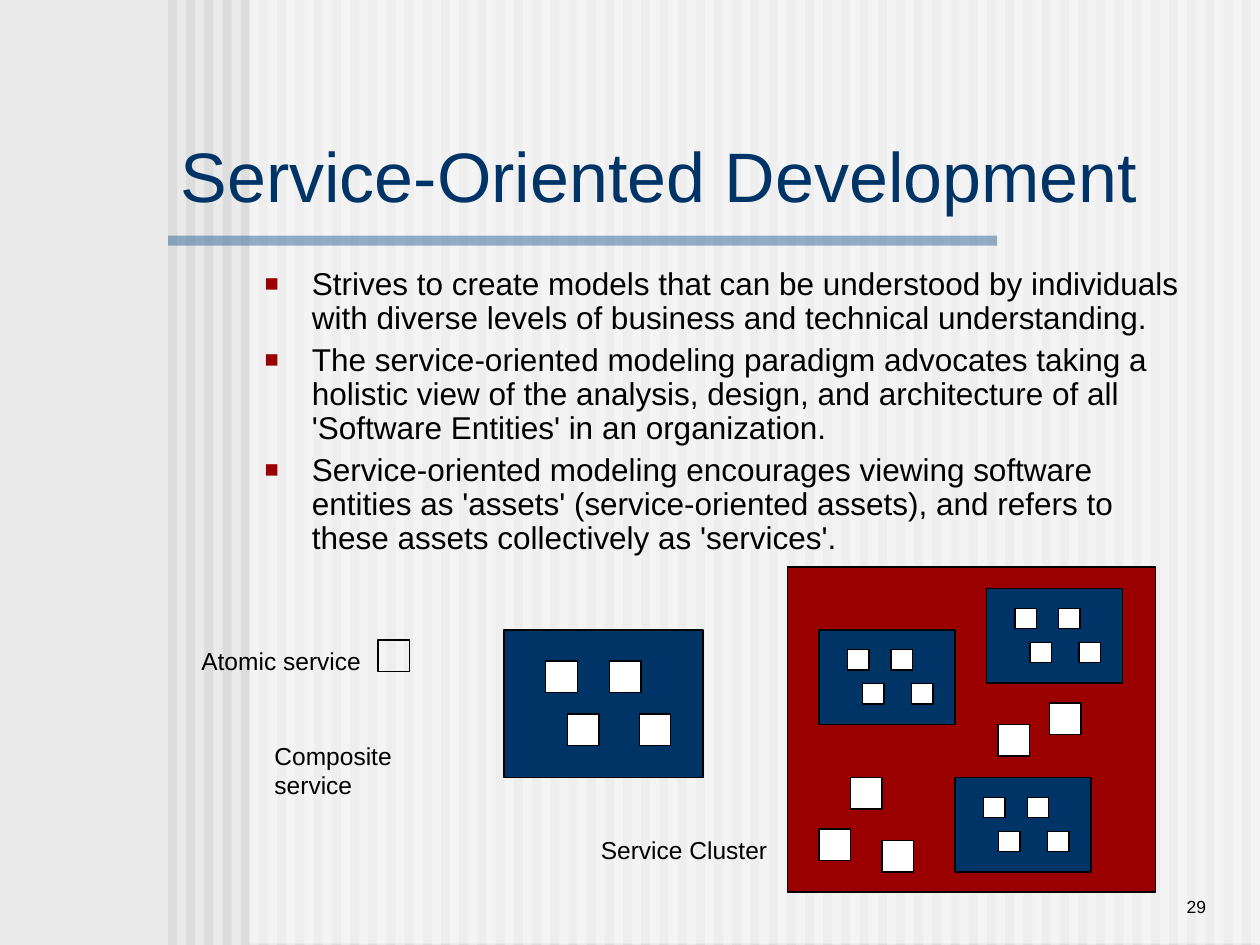
from lxml import etree
from pptx import Presentation
from pptx.dml.color import RGBColor
from pptx.enum.shapes import MSO_SHAPE
from pptx.enum.text import MSO_ANCHOR, MSO_AUTO_SIZE, PP_ALIGN
from pptx.oxml.ns import qn
from pptx.util import Inches, Pt

RECTANGLE = MSO_SHAPE.RECTANGLE
BOTTOM, TOP = MSO_ANCHOR.BOTTOM, MSO_ANCHOR.TOP
LEFT, RIGHT = PP_ALIGN.LEFT, PP_ALIGN.RIGHT
NO_AUTOFIT = MSO_AUTO_SIZE.NONE

FONT = "Arial"
BLACK, WHITE, NAVY, RED = "000000", "FFFFFF", "003366", "9A0000"
BACKGROUND, STRIPE, RULE = "EAEAEA", "DDDDDD", "336699"

WIDTH, HEIGHT = 10, 7.5
MARGIN = WIDTH * 2 / 15
STRIPES = 60
STRIPE_PITCH = (WIDTH - MARGIN) / STRIPES

TITLE = "Service-Oriented Development"
POINTS = [
    "Strives to create models that can be understood by individuals with diverse "
    "levels of business and technical understanding.",
    "The service-oriented modeling paradigm advocates taking a holistic view of the "
    "analysis, design, and architecture of all 'Software Entities' in an organization.",
    "Service-oriented modeling encourages viewing software entities as 'assets' "
    "(service-oriented assets), and refers to these assets collectively as 'services'.",
]
PAGE_NUMBER = "29"
LABELS = [  # text, left, top, width
    ("Atomic service", 1.5, 5.08, 1.47),
    ("Composite service", 2.08, 5.83, 1.8),
    ("Service Cluster", 4.67, 6.58, 1.52),
]

ATOM = 0.25
LONE_ATOM = (3, 5.08)
COMPOSITE = (4, 5, 1.58, 1.17)
CLUSTER = (6.25, 4.5, 2.92, 2.58)
CLUSTER_COMPOSITES = [(6.5, 5), (7.83, 4.67), (7.58, 6.17)]
CLUSTER_COMPOSITE_SIZE = (1.08, 0.75)
CLUSTER_ATOMS = [(6.75, 6.17), (7.92, 5.75), (7, 6.67), (6.5, 6.58), (8.33, 5.58)]
# Atoms of a composite service, as shares of its width and height
ATOM_SHARES = [(0.21, 0.21), (0.53, 0.21), (0.68, 0.57), (0.32, 0.57)]
ATOM_SIZE_SHARE = (0.158, 0.214)


def rgb(color):
    return RGBColor.from_string(color)


def place(shape, left, top, width, height):
    shape.left, shape.top = Inches(left), Inches(top)
    shape.width, shape.height = Inches(width), Inches(height)


def add_box(slide, left, top, width, height, fill=None, line=None, opacity=None):
    box = slide.shapes.add_shape(
        RECTANGLE, Inches(left), Inches(top), Inches(width), Inches(height))
    box.shadow.inherit = False
    if fill:
        box.fill.solid()
        box.fill.fore_color.rgb = rgb(fill)
    else:
        box.fill.background()
    if line:
        box.line.color.rgb = rgb(line)
        box.line.width = Pt(0.75)
    else:
        box.line.fill.background()
    if opacity:
        color = box._element.spPr.find(qn("a:solidFill"))[0]
        etree.SubElement(color, qn("a:alpha")).set("val", str(opacity * 1000))


def add_atom(slide, left, top, fill=WHITE):
    add_box(slide, left, top, ATOM, ATOM, fill, BLACK)


def add_composite(slide, left, top, width, height):
    add_box(slide, left, top, width, height, NAVY, BLACK)
    atom_width, atom_height = ATOM_SIZE_SHARE
    for across, down in ATOM_SHARES:
        add_box(slide, left + across * width, top + down * height,
                atom_width * width, atom_height * height, WHITE, BLACK)


def style(paragraph, size, color=BLACK, align=LEFT):
    paragraph.alignment = align
    paragraph.font.name = FONT
    paragraph.font.size = Pt(size)
    paragraph.font.color.rgb = rgb(color)


def add_text(slide, text, left, top, width, height, size, align=LEFT, anchor=TOP, wrap=False):
    box = slide.shapes.add_textbox(
        Inches(left), Inches(top), Inches(width), Inches(height))
    frame = box.text_frame
    frame.word_wrap = wrap
    frame.vertical_anchor = anchor
    frame.text = text
    style(frame.paragraphs[0], size, align=align)


def add_bullet(paragraph):
    properties = paragraph._p.get_or_add_pPr()
    properties.set("marL", str(Inches(0.375)))
    properties.set("indent", str(-Inches(0.375)))
    color = etree.SubElement(properties, qn("a:buClr"))
    etree.SubElement(color, qn("a:srgbClr")).set("val", RED)
    etree.SubElement(properties, qn("a:buSzPct")).set("val", "75000")
    etree.SubElement(properties, qn("a:buFont")).set("typeface", FONT)
    etree.SubElement(properties, qn("a:buChar")).set("char", "■")


def add_backdrop(slide):
    slide.background.fill.solid()
    slide.background.fill.fore_color.rgb = rgb(BACKGROUND)
    for index in range(STRIPES):
        add_box(slide, MARGIN + index * STRIPE_PITCH, 0, STRIPE_PITCH / 2, HEIGHT, STRIPE)
    add_box(slide, 1.98, -0.01, WIDTH - 1.98, HEIGHT, WHITE, opacity=50)
    add_box(slide, MARGIN, 1.87, 6.58, 0.08, RULE, opacity=50)


def fill_placeholders(slide):
    title, body = slide.shapes.title, slide.placeholders[1]
    place(title, MARGIN, 1.08, 8.25, 0.69)
    place(body, 2, 2.08, 7.58, 2.58)
    title.text_frame.text = TITLE
    title.text_frame.vertical_anchor = BOTTOM
    style(title.text_frame.paragraphs[0], 40, NAVY)

    body.text_frame.text = "\n".join(POINTS)
    for paragraph in body.text_frame.paragraphs:
        style(paragraph, 18)
        paragraph.line_spacing = 0.9
        paragraph.space_before = Pt(4.5)
        add_bullet(paragraph)

    for placeholder in (title, body):
        placeholder.text_frame.auto_size = NO_AUTOFIT
        slide.shapes._spTree.append(placeholder._element)  # in front of the backdrop


def add_diagram(slide):
    add_atom(slide, *LONE_ATOM, fill=None)
    add_composite(slide, *COMPOSITE)
    add_box(slide, *CLUSTER, RED, BLACK)
    for corner in CLUSTER_COMPOSITES:
        add_composite(slide, *corner, *CLUSTER_COMPOSITE_SIZE)
    for corner in CLUSTER_ATOMS:
        add_atom(slide, *corner)
    for text, left, top, width in LABELS:
        add_text(slide, text, left, top, width, 0.34, 14)


def main():
    deck = Presentation()
    deck.slide_width, deck.slide_height = Inches(WIDTH), Inches(HEIGHT)
    slide = deck.slides.add_slide(deck.slide_layouts[1])
    add_backdrop(slide)
    add_text(slide, PAGE_NUMBER, 8.25, 6.83, 1.42, 0.5, 10, RIGHT, BOTTOM, wrap=True)
    fill_placeholders(slide)
    add_diagram(slide)
    deck.save("out.pptx")


if __name__ == "__main__":
    main()
